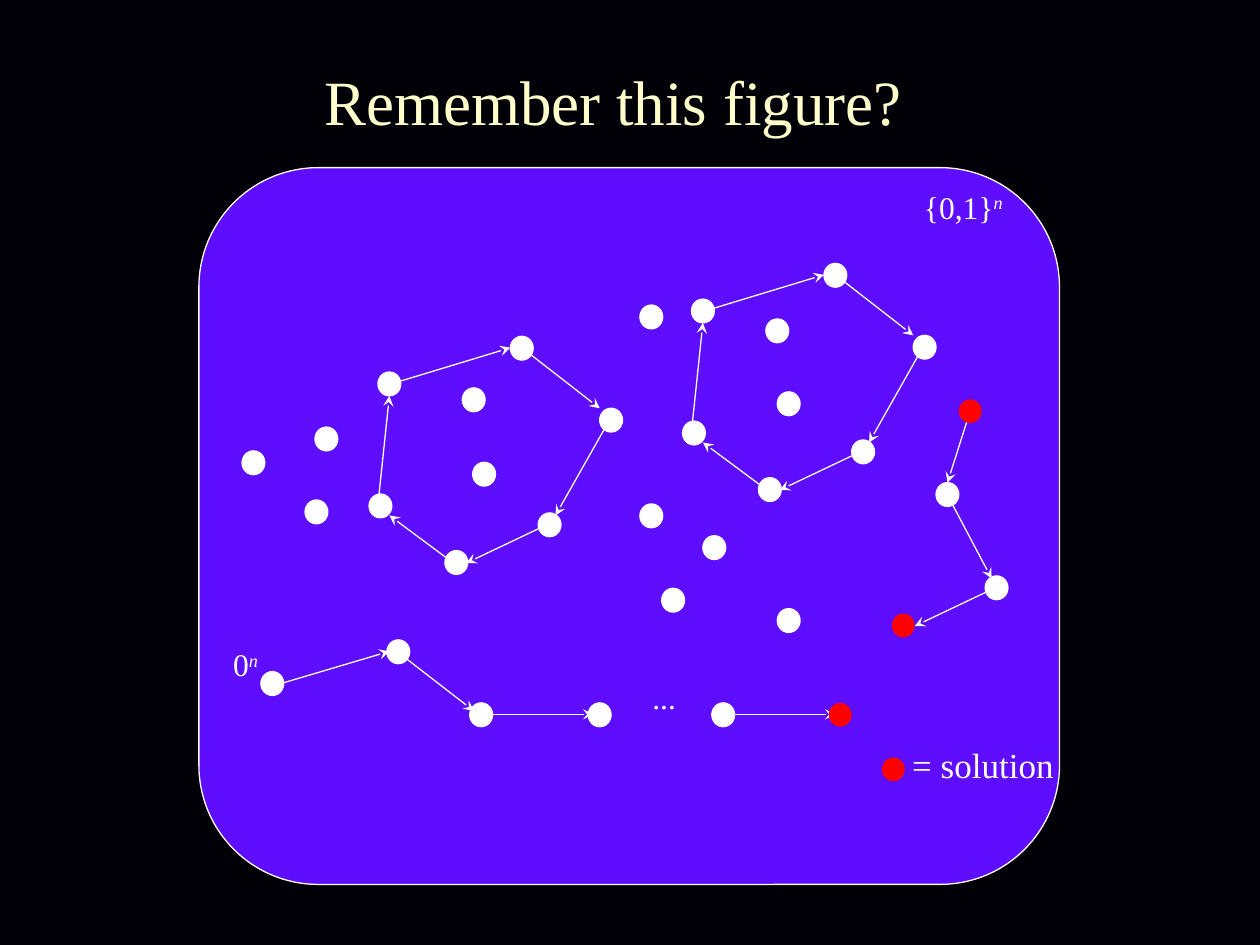
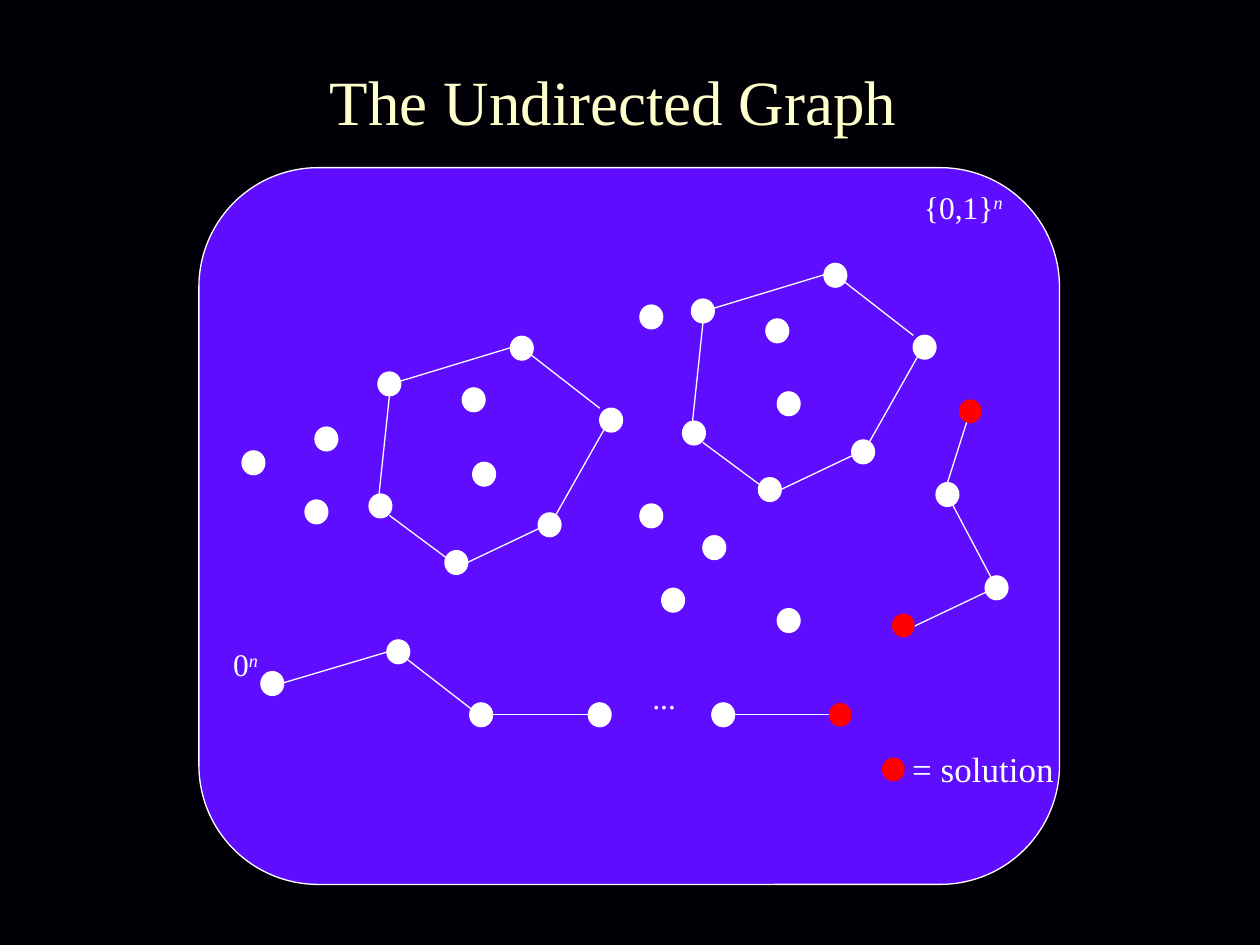
from dataclasses import dataclass
from typing import Any

import lxml.etree
import pptx
import pptx.dml.color
import pptx.enum.shapes
import pptx.enum.text
import pptx.oxml.ns
import pptx.util

Cm = pptx.util.Cm
Align = pptx.enum.text.PP_ALIGN
Preset = pptx.enum.shapes.MSO_SHAPE


@dataclass(frozen=True)
class Theme:
    font: str = "Times New Roman"
    background: str = "010006"
    panel: str = "5E0DFF"
    ink: str = "FFFFFF"
    title: str = "FFFFCC"
    solution: str = "FF0000"
    title_size: int = 36
    label_size: int = 18
    legend_size: int = 20
    line_width: float = 0.75


@dataclass(frozen=True)
class Dot:
    left: float
    top: float
    solution: bool = False


@dataclass(frozen=True)
class Edge:
    x1: float
    y1: float
    x2: float
    y2: float


@dataclass(frozen=True)
class Label:
    left: float
    top: float
    width: float
    height: float
    text: str
    exponent: str = ""
    size: int = Theme.label_size
    color: str = Theme.ink
    italic: bool = False
    centered: bool = True
    wrap: bool = True
    middle: bool = False


@dataclass(frozen=True)
class GraphSlide:
    title: str
    directed: bool
    legend_top: float


THEME = Theme()
DOT_WIDTH, DOT_HEIGHT = 0.46, 0.48

# The second cycle repeats the first one, shifted
CYCLE_SHIFTS = [(0, 0), (6.32, -1.47)]
CYCLE_DOTS = [
    Dot(7.62, 7.5), Dot(10.29, 6.78), Dot(12.09, 8.23),
    Dot(10.85, 10.34), Dot(8.97, 11.1), Dot(7.44, 9.96),
]
CYCLE_EDGES = [
    Edge(7.85, 7.75, 10.29, 7.01), Edge(10.52, 7.01, 12.09, 8.23),
    Edge(12.29, 8.46, 11.2, 10.39), Edge(11, 10.59, 9.4, 11.35),
    Edge(9.14, 11.35, 7.85, 10.39), Edge(7.62, 10.16, 7.85, 7.98),
]

# Path from the zero string, and the short path on the right
PATH_DOTS = [
    Dot(5.26, 13.54), Dot(7.8, 12.9), Dot(9.47, 14.17), Dot(11.86, 14.17),
    Dot(14.35, 14.17), Dot(16.71, 14.17, True),
    Dot(19.33, 8.05, True), Dot(18.87, 9.73), Dot(19.86, 11.61), Dot(17.98, 12.37, True),
]
PATH_EDGES = [
    Edge(5.46, 13.84, 7.85, 13.13), Edge(8, 13.13, 9.55, 14.33),
    Edge(9.7, 14.4, 11.96, 14.4), Edge(14.55, 14.4, 16.84, 14.4),
    Edge(19.56, 8.28, 19.1, 9.73), Edge(19.1, 9.98, 19.99, 11.66),
    Edge(20.04, 11.86, 18.44, 12.62),
]

LOOSE_DOTS = [
    Dot(12.9, 10.16), Dot(12.9, 6.15), Dot(4.88, 9.09), Dot(6.35, 8.61),
    Dot(6.15, 10.08), Dot(9.32, 7.82), Dot(9.53, 9.32), Dot(15.44, 6.43),
    Dot(15.67, 7.9), Dot(14.17, 10.8), Dot(13.34, 11.86), Dot(15.67, 12.27),
]
LEGEND_DOT = Dot(17.78, 15.27, True)

GRAPH_LABELS = [
    Label(16.41, 3.66, 6.02, 1.02, "{0,1}", "n"),
    Label(4.24, 12.88, 1.42, 1.02, "0", "n"),
    Label(12.07, 13.54, 2.67, 1.02, "...", italic=True),
]

SLIDES = [
    GraphSlide("Remember this figure?", True, 14.86),
    GraphSlide("The Undirected Graph", False, 14.94),
]


def rgb(color: str) -> pptx.dml.color.RGBColor:
    return pptx.dml.color.RGBColor.from_string(color)


def draw_shape(page: Any, preset: Any, left: float, top: float, width: float,
               height: float, fill: str, outlined: bool = True) -> None:
    shape = page.shapes.add_shape(preset, Cm(left), Cm(top), Cm(width), Cm(height))
    shape.shadow.inherit = False
    shape.fill.solid()
    shape.fill.fore_color.rgb = rgb(fill)
    if outlined:
        shape.line.color.rgb = rgb(THEME.ink)
        shape.line.width = pptx.util.Pt(THEME.line_width)
    else:
        shape.line.fill.background()


def draw_dot(page: Any, dot: Dot) -> None:
    fill = THEME.solution if dot.solution else THEME.ink
    draw_shape(page, Preset.OVAL, dot.left, dot.top, DOT_WIDTH, DOT_HEIGHT,
               fill, outlined=not dot.solution)


def draw_edge(page: Any, edge: Edge, directed: bool) -> None:
    line = page.shapes.add_connector(
        pptx.enum.shapes.MSO_CONNECTOR.STRAIGHT,
        Cm(edge.x1), Cm(edge.y1), Cm(edge.x2), Cm(edge.y2))
    line.line.color.rgb = rgb(THEME.ink)
    line.line.width = pptx.util.Pt(THEME.line_width)
    if directed:
        lxml.etree.SubElement(line.line._get_or_add_ln(),
                              pptx.oxml.ns.qn("a:tailEnd"), type="stealth")
    lxml.etree.SubElement(line._element.spPr, pptx.oxml.ns.qn("a:effectLst"))


def draw_label(page: Any, label: Label) -> None:
    box = page.shapes.add_textbox(
        Cm(label.left), Cm(label.top), Cm(label.width), Cm(label.height))
    frame = box.text_frame
    frame.word_wrap = label.wrap
    if label.middle:
        frame.vertical_anchor = pptx.enum.text.MSO_ANCHOR.MIDDLE
    para = frame.paragraphs[0]
    para.alignment = Align.CENTER if label.centered else Align.LEFT
    para.font.name = THEME.font
    para.font.size = pptx.util.Pt(label.size)
    para.font.color.rgb = rgb(label.color)
    para.font.italic = label.italic
    para.add_run().text = label.text
    if label.exponent:
        span = para.add_run()
        span.text = label.exponent
        span.font.italic = True
        span.font._element.set("baseline", "30000")


def draw_graph(page: Any, directed: bool) -> None:
    draw_shape(page, Preset.ROUNDED_RECTANGLE, 4.01, 3.38, 17.35, 14.45, THEME.panel)

    # Edges lie below the dots
    edges = PATH_EDGES + [
        Edge(edge.x1 + dx, edge.y1 + dy, edge.x2 + dx, edge.y2 + dy)
        for dx, dy in CYCLE_SHIFTS for edge in CYCLE_EDGES]
    for edge in edges:
        draw_edge(page, edge, directed)

    cycle_dots = [Dot(dot.left + dx, dot.top + dy)
                  for dx, dy in CYCLE_SHIFTS for dot in CYCLE_DOTS]
    for dot in cycle_dots + PATH_DOTS + LOOSE_DOTS:
        draw_dot(page, dot)
    for label in GRAPH_LABELS:
        draw_label(page, label)


def add_page(deck: Any, content: GraphSlide) -> None:
    page = deck.slides.add_slide(deck.slide_layouts[6])
    page.background.fill.solid()
    page.background.fill.fore_color.rgb = rgb(THEME.background)
    draw_graph(page, content.directed)
    draw_label(page, Label(0.2, 0.43, 24.33, 3.18, content.title,
                           size=THEME.title_size, color=THEME.title, middle=True))

    # Legend
    draw_dot(page, LEGEND_DOT)
    draw_label(page, Label(18.14, content.legend_top, 3.38, 1.12, "= solution",
                           size=THEME.legend_size, centered=False, wrap=False))


def main() -> None:
    deck = pptx.Presentation()
    deck.slide_width, deck.slide_height = Cm(25.4), Cm(19.05)
    for content in SLIDES:
        add_page(deck, content)
    deck.save("out.pptx")


if __name__ == "__main__":
    main()
